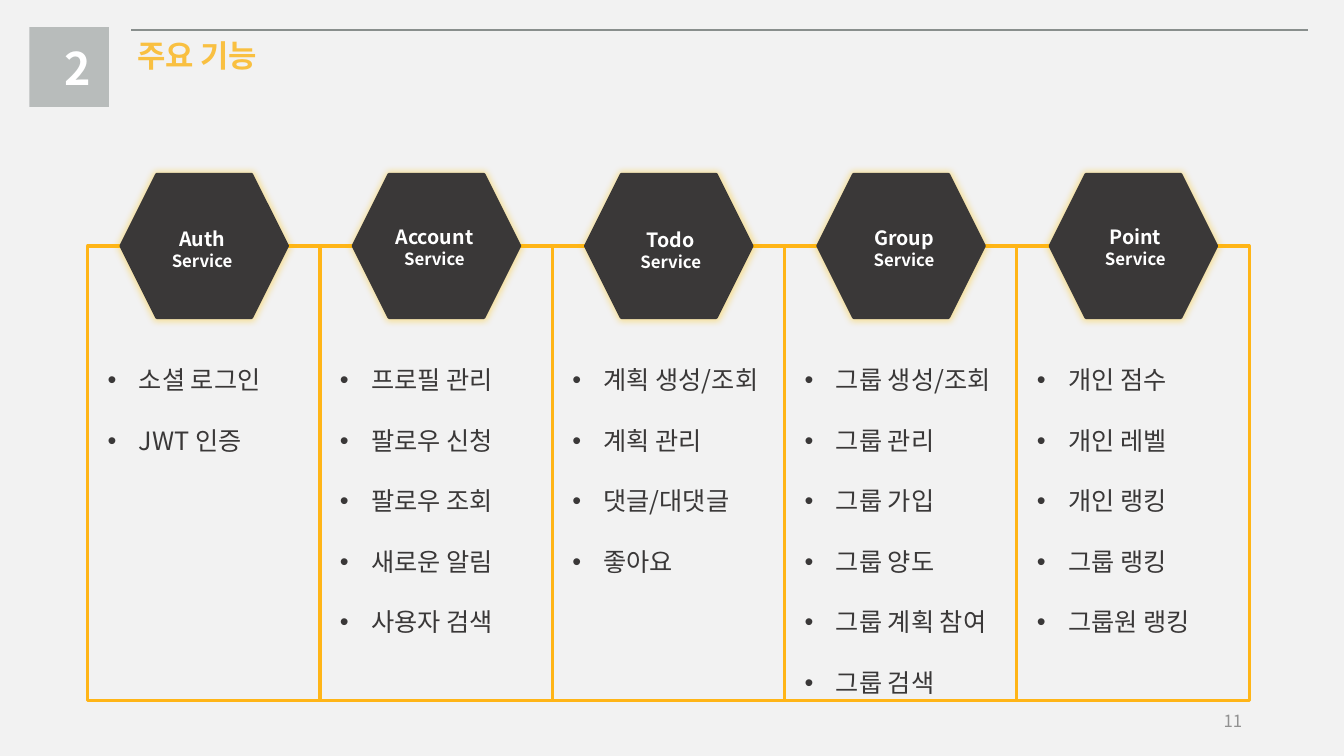
import pptx
import pptx.dml.color
import pptx.enum.shapes
import pptx.enum.text
import pptx.util
from dataclasses import dataclass
from lxml import etree
from pptx.oxml.ns import qn
from pptx.util import Inches

ALIGN = pptx.enum.text.PP_ALIGN
ANCHOR = pptx.enum.text.MSO_ANCHOR
SHAPE = pptx.enum.shapes.MSO_SHAPE


@dataclass(frozen=True)
class Theme:
    font: str = "Noto Sans CJK KR"
    background: str = "F2F2F2"
    rule: str = "898F8D"
    badge: str = "B8BCBB"
    white: str = "FFFFFF"
    page: str = "919191"
    frame: str = "FFB517"
    dark: str = "3A3838"
    glow: str = "FFC000"
    title: str = "F9C041"
    section_size: int = 32
    title_size: int = 22
    list_size: int = 18
    name_size: int = 14
    small_size: int = 12


THEME = Theme()

# name, label offset from the hexagon's centre, features
SERVICES = [
    ("Auth", (-0.02, 0.03), ["소셜 로그인", "JWT 인증"]),
    ("Account", (-0.02, 0.01),
     ["프로필 관리", "팔로우 신청", "팔로우 조회", "새로운 알림", "사용자 검색"]),
    ("Todo", (0.02, 0.04), ["계획 생성/조회", "계획 관리", "댓글/대댓글", "좋아요"]),
    ("Group", (0.03, 0.02),
     ["그룹 생성/조회", "그룹 관리", "그룹 가입", "그룹 양도", "그룹 계획 참여", "그룹 검색"]),
    ("Point", (0.02, 0.01),
     ["개인 점수", "개인 레벨", "개인 랭킹", "그룹 랭킹", "그룹원 랭킹"]),
]


def rgb(color):
    return pptx.dml.color.RGBColor.from_string(color)


def style(paragraph, size, color, bold=False, align=ALIGN.LEFT):
    paragraph.alignment = align
    for run in paragraph.runs:
        run.font.size = pptx.util.Pt(size)
        run.font.bold = bold
        run.font.color.rgb = rgb(color)
        run.font.name = THEME.font
        east_asian = etree.SubElement(run.font._element, qn("a:ea"))
        east_asian.set("typeface", THEME.font)


def set_insets(frame, horizontal, vertical):
    frame.margin_left = frame.margin_right = Inches(horizontal)
    frame.margin_top = frame.margin_bottom = Inches(vertical)


def add_text(slide, box, text):
    frame = slide.shapes.add_textbox(*map(Inches, box)).text_frame
    frame.word_wrap = True
    frame.text = text
    return frame


def add_block(slide, kind, box, fill=None, line=None):
    block = slide.shapes.add_shape(kind, *map(Inches, box))
    block.shadow.inherit = False
    if fill:
        block.fill.solid()
        block.fill.fore_color.rgb = rgb(fill)
    else:
        block.fill.background()
    if line:
        block.line.color.rgb = rgb(line)
        block.line.width = pptx.util.Pt(2.25)
    else:
        block.line.fill.background()
    return block


def add_halo(block):
    """Surround the block with a soft, slightly enlarged shadow."""
    effects = block._element.spPr.find(qn("a:effectLst"))
    halo = etree.SubElement(effects, qn("a:outerShdw"), blurRad="63500",
                            sx="102000", sy="102000", algn="ctr", rotWithShape="0")
    color = etree.SubElement(halo, qn("a:srgbClr"), val=THEME.glow)
    etree.SubElement(color, qn("a:alpha"), val="40000")


def add_bullet(paragraph):
    properties = paragraph._p.get_or_add_pPr()
    properties.set("marL", str(Inches(0.31)))
    properties.set("indent", str(-Inches(0.31)))
    etree.SubElement(properties, qn("a:buFont"), typeface="Arial")
    etree.SubElement(properties, qn("a:buChar"), char="•")


def add_header(slide, box, number, heading):
    left, top, width, height = box
    rule_y = Inches(top + 0.03)
    rule = slide.shapes.add_connector(
        pptx.enum.shapes.MSO_CONNECTOR.STRAIGHT,
        Inches(left + 1.01), rule_y, Inches(left + width), rule_y)
    rule.line.color.rgb = rgb(THEME.rule)
    rule.line.width = pptx.util.Pt(1.5)
    etree.SubElement(rule._element.spPr, qn("a:effectLst"))

    add_block(slide, SHAPE.RECTANGLE, (left, top, height, height), THEME.badge)
    section = add_text(slide, (left + 0.3, top + 0.08, 0.35, 0.62), number)
    set_insets(section, 0.05, 0.05)
    style(section.paragraphs[0], THEME.section_size, THEME.white, True, ALIGN.CENTER)

    title = slide.shapes.title
    title.left, title.top = Inches(left + 0.97), Inches(top + 0.04)
    title.width, title.height = Inches(1.48), Inches(0.46)
    frame = title.text_frame
    frame.text = heading
    frame.word_wrap = False
    frame.auto_size = pptx.enum.text.MSO_AUTO_SIZE.NONE
    frame.vertical_anchor = ANCHOR.TOP
    set_insets(frame, 0.1, 0.05)
    style(frame.paragraphs[0], THEME.title_size, THEME.title, True)


def add_hexagon(slide, box, name, offset):
    left, top, width, height = box
    hexagon = add_block(slide, SHAPE.HEXAGON, box, THEME.dark, THEME.dark)
    hexagon.adjustments[0] = 0.25
    add_halo(hexagon)

    label_width, label_height = 1, 0.44
    label_left = left + (width - label_width) / 2 + offset[0]
    label_top = top + (height - label_height) / 2 + offset[1]
    label = add_text(slide, (label_left, label_top, label_width, label_height),
                     f"{name}\nService")
    label.vertical_anchor = ANCHOR.MIDDLE
    set_insets(label, 0, 0)
    for paragraph, size in zip(label.paragraphs, (THEME.name_size, THEME.small_size)):
        style(paragraph, size, THEME.white, True, ALIGN.CENTER)


def add_service(slide, box, name, offset, features):
    left, top, width, height = box
    add_block(slide, SHAPE.RECTANGLE, box, line=THEME.frame)
    add_hexagon(slide, (left + 0.33, top - 0.71, 1.65, 1.42), name, offset)
    feature_list = add_text(
        slide, (left + 0.1, top + 0.83, width, 0.1 + 0.6 * len(features)),
        "\n".join(features))
    for feature in feature_list.paragraphs:
        feature.line_spacing = 2.0
        add_bullet(feature)
        style(feature, THEME.list_size, THEME.dark, align=ALIGN.JUSTIFY)


def add_services(slide, box):
    left, top, width, height = box
    column_width = width / len(SERVICES)
    for index, service in enumerate(SERVICES):
        column = (left + index * column_width, top, column_width, height)
        add_service(slide, column, *service)


def add_page_number(slide, box, number):
    page = add_text(slide, box, number)
    page.vertical_anchor = ANCHOR.MIDDLE
    style(page.paragraphs[0], THEME.small_size, THEME.page, align=ALIGN.RIGHT)


def main():
    deck = pptx.Presentation()
    deck.slide_width, deck.slide_height = Inches(13.33), Inches(7.5)
    title_only = deck.slide_layouts[5]
    slide = deck.slides.add_slide(title_only)
    slide.background.fill.solid()
    slide.background.fill.fore_color.rgb = rgb(THEME.background)
    add_header(slide, (0.29, 0.27, 12.68, 0.79), "2", "주요 기능")
    add_services(slide, (0.87, 2.44, 11.52, 4.51))
    add_page_number(slide, (9.42, 6.95, 3, 0.4), "11")
    deck.save("out.pptx")


if __name__ == "__main__":
    main()
